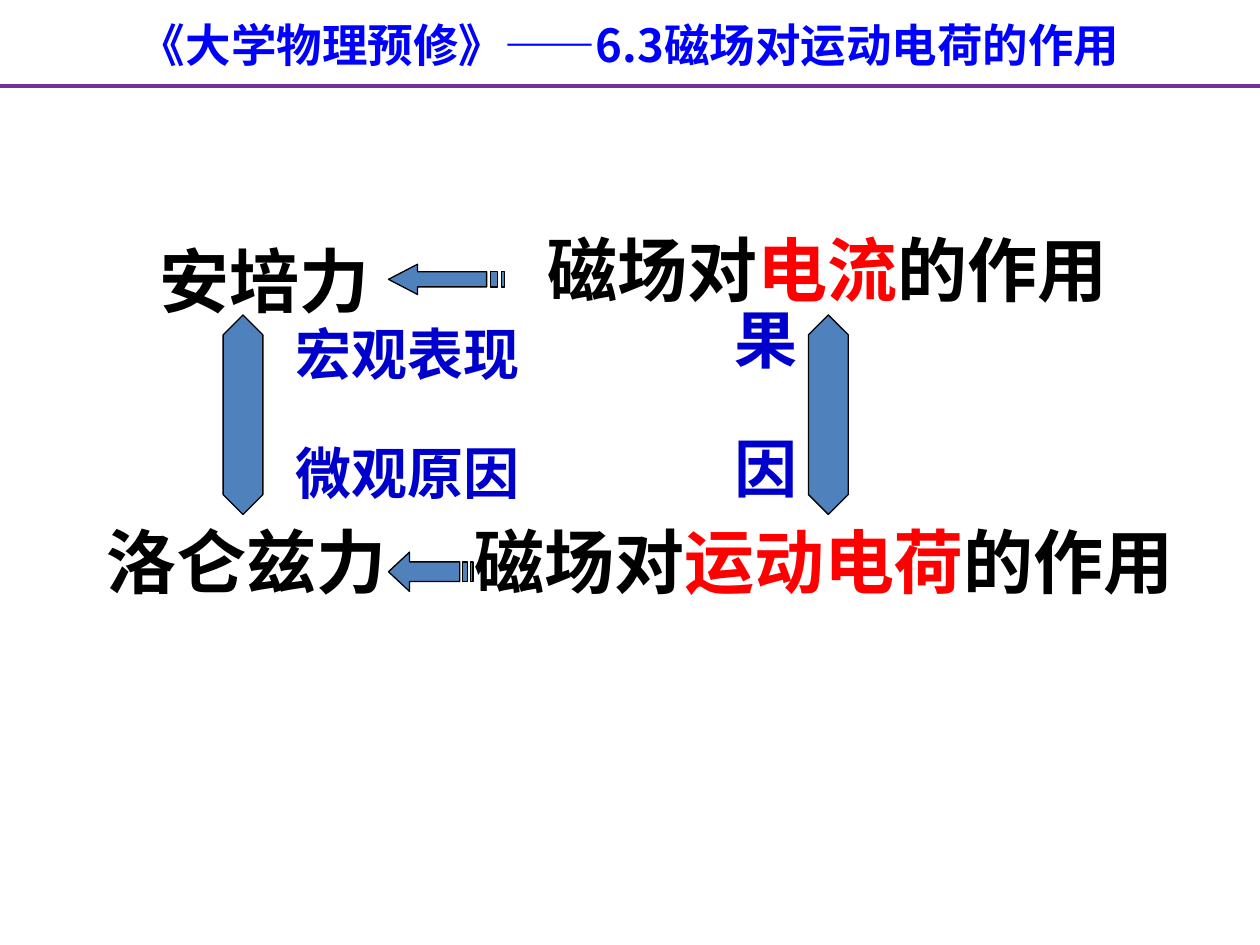
from pptx import Presentation
from pptx.dml.color import RGBColor
from pptx.enum.shapes import MSO_CONNECTOR as Connector, MSO_SHAPE as Shape
from pptx.enum.text import MSO_AUTO_SIZE as AutoSize, PP_ALIGN as Align
from pptx.oxml.ns import qn
from pptx.util import Pt
from lxml.etree import SubElement

SANS_SC, SANS_JP, CALIBRI = "Noto Sans CJK SC", "Noto Sans CJK JP", "Calibri"
BLACK, RED, TITLE_BLUE, NOTE_BLUE = "000000", "FF0000", "0000FF", "0000CC"
PURPLE, ARROW_BLUE = "7030A0", "4F81BD"


def color(value):
    return RGBColor.from_string(value)


def add_text(slide, box, runs, size, font_name, align=Align.LEFT):
    """Write (text, colour) runs as one bold line in a text box."""
    shape = slide.shapes.add_textbox(*map(Pt, box))
    frame = shape.text_frame
    frame.word_wrap = True
    frame.auto_size = AutoSize.SHAPE_TO_FIT_TEXT
    paragraph = frame.paragraphs[0]
    paragraph.alignment = align
    for text, run_color in runs:
        run = paragraph.add_run()
        run.text = text
        formats = {"size": Pt(size), "bold": True, "name": font_name}
        for name, value in formats.items():
            setattr(run.font, name, value)
        run.font.color.rgb = color(run_color)
        east_asian = SubElement(run.font._element, qn("a:ea"))
        east_asian.set("typeface", font_name)


def style_arrow(shape):
    shape.shadow.inherit = False
    shape.fill.solid()
    shape.fill.fore_color.rgb = color(ARROW_BLUE)
    shape.line.color.rgb = color(BLACK)
    shape.line.width = Pt(0.75)


def add_double_arrow(slide, box):
    shape = slide.shapes.add_shape(Shape.UP_DOWN_ARROW, *map(Pt, box))
    shape.adjustments[0], shape.adjustments[1] = 0.5, 1
    style_arrow(shape)


def add_striped_arrow(slide, box):
    """Left arrow whose head and tail stripes are fractions of its width."""
    left, top, width, height = box

    def points(fractions):
        return [(Pt(left + width * x), Pt(top + height * y)) for x, y in fractions]

    head, shaft_end, upper, lower = 1 / 4, 27 / 32, 1 / 4, 3 / 4
    outline = points([(0, 1 / 2), (head, 0), (head, upper), (shaft_end, upper),
                      (shaft_end, lower), (head, lower), (head, 1)])
    builder = slide.shapes.build_freeform(*outline[0])
    builder.add_line_segments(outline[1:], close=True)
    for start, end in ((28 / 32, 30 / 32), (31 / 32, 1)):
        stripe = points([(start, upper), (end, upper), (end, lower), (start, lower)])
        builder.move_to(*stripe[0])
        builder.add_line_segments(stripe[1:], close=True)
    style_arrow(builder.convert_to_shape())


def add_header(slide, box):
    left, top, width, height = box
    add_text(slide, (left, top + 6, width, 39),
             [("《大学物理预修》——6.3磁场对运动电荷的作用", TITLE_BLUE)],
             26, SANS_SC, Align.CENTER)
    rule = slide.shapes.add_connector(
        Connector.STRAIGHT, Pt(left), Pt(top + height), Pt(left + width), Pt(top + height))
    rule.line.color.rgb = color(PURPLE)
    rule.line.width = Pt(2.25)
    SubElement(rule._element.spPr, qn("a:effectLst"))


def add_relation_diagram(slide, box):
    left, top, _, _ = box

    def place(x, y, width, height):
        return left + x, top + y, width, height

    # Forces on the left, the actions behind them on the right
    statements = [
        (place(30, 6, 240, 55.4), [("安培力", BLACK)]),
        (place(0, 167, 240, 55.4), [("洛仑兹力", BLACK)]),
        (place(252, 0, 342, 55.4),
         [("磁场对", BLACK), ("电流", RED), ("的作用", BLACK)]),
        (place(210, 167, 450, 55.4),
         [("磁场对", BLACK), ("运动电荷", RED), ("的作用", BLACK)]),
    ]
    for area, runs in statements:
        add_text(slide, area, runs, 40, SANS_JP)

    # Arrows between the statements
    for x in (408, 73.5):
        add_double_arrow(slide, place(x, 54, 22.7, 114))
    add_striped_arrow(slide, place(168, 25, 66.5, 17.3))
    add_striped_arrow(slide, place(168, 189.5, 48.3, 22.5))

    # Notes beside the vertical arrows
    notes = [("因", 358.6, 116, 72, 36), ("果", 358.6, 42, 55.4, 36),
             ("微观原因", 108, 121, 175.7, 32), ("宏观表现", 108, 53.3, 164, 32)]
    for text, x, y, width, size in notes:
        add_text(slide, place(x, y, width, size * 1.4),
                 [(text, NOTE_BLUE)], size, CALIBRI)


def main():
    presentation = Presentation()
    presentation.slide_width, presentation.slide_height = Pt(720), Pt(540)
    slide = presentation.slides.add_slide(presentation.slide_layouts[6])
    add_header(slide, (0, 0, 720, 49))
    add_relation_diagram(slide, (54, 126, 660, 223))
    presentation.save("out.pptx")


if __name__ == "__main__":
    main()
